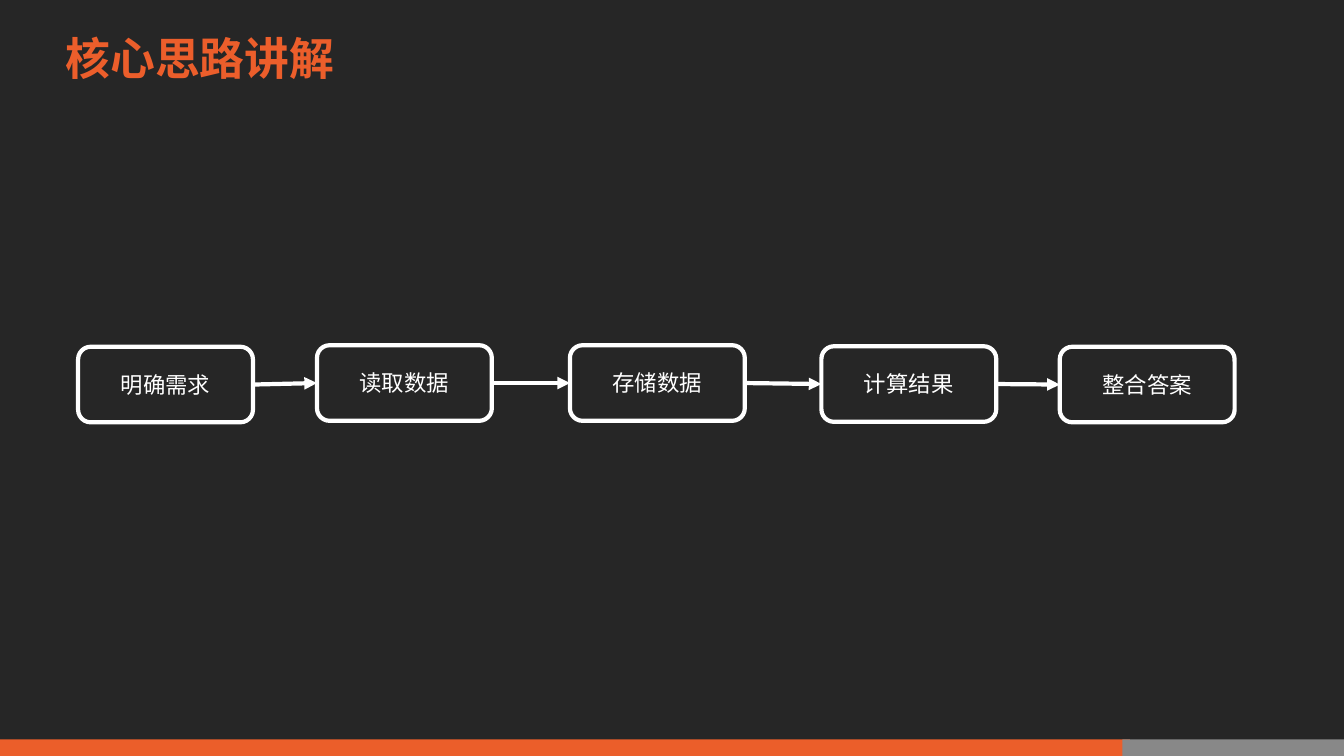
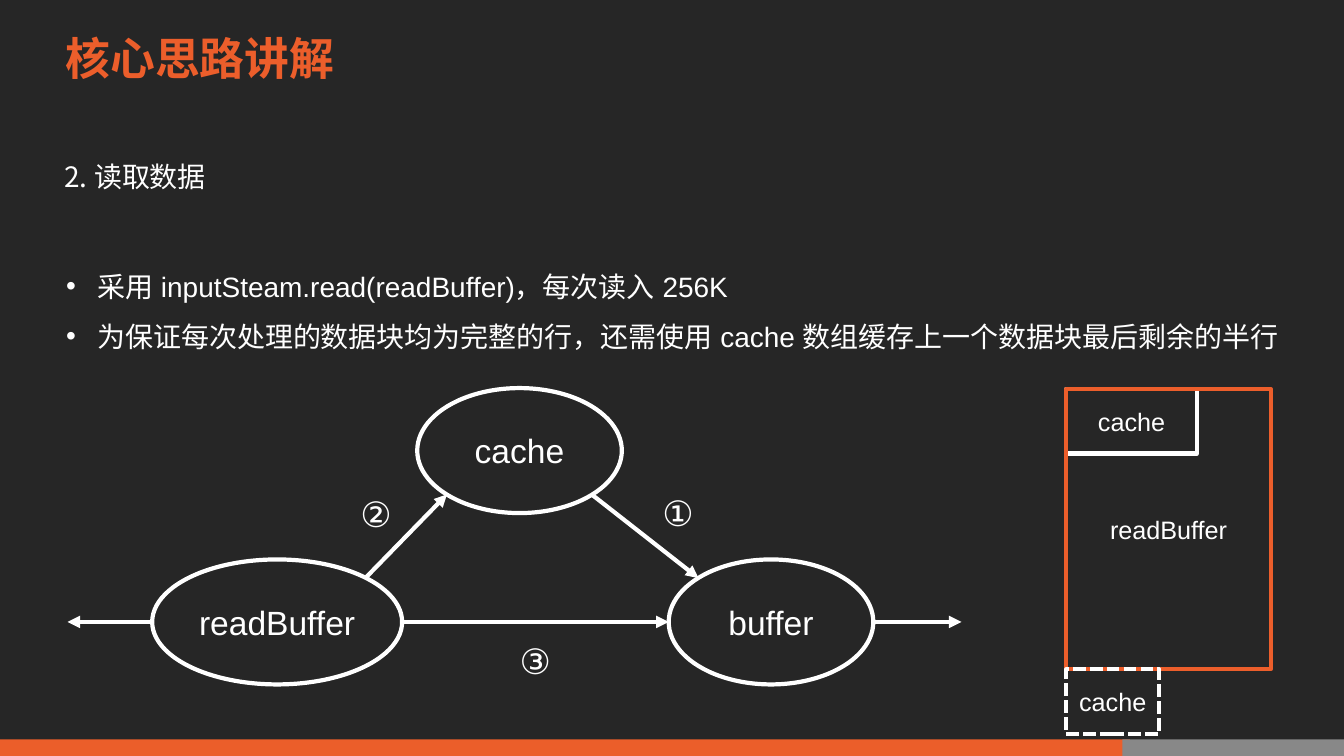
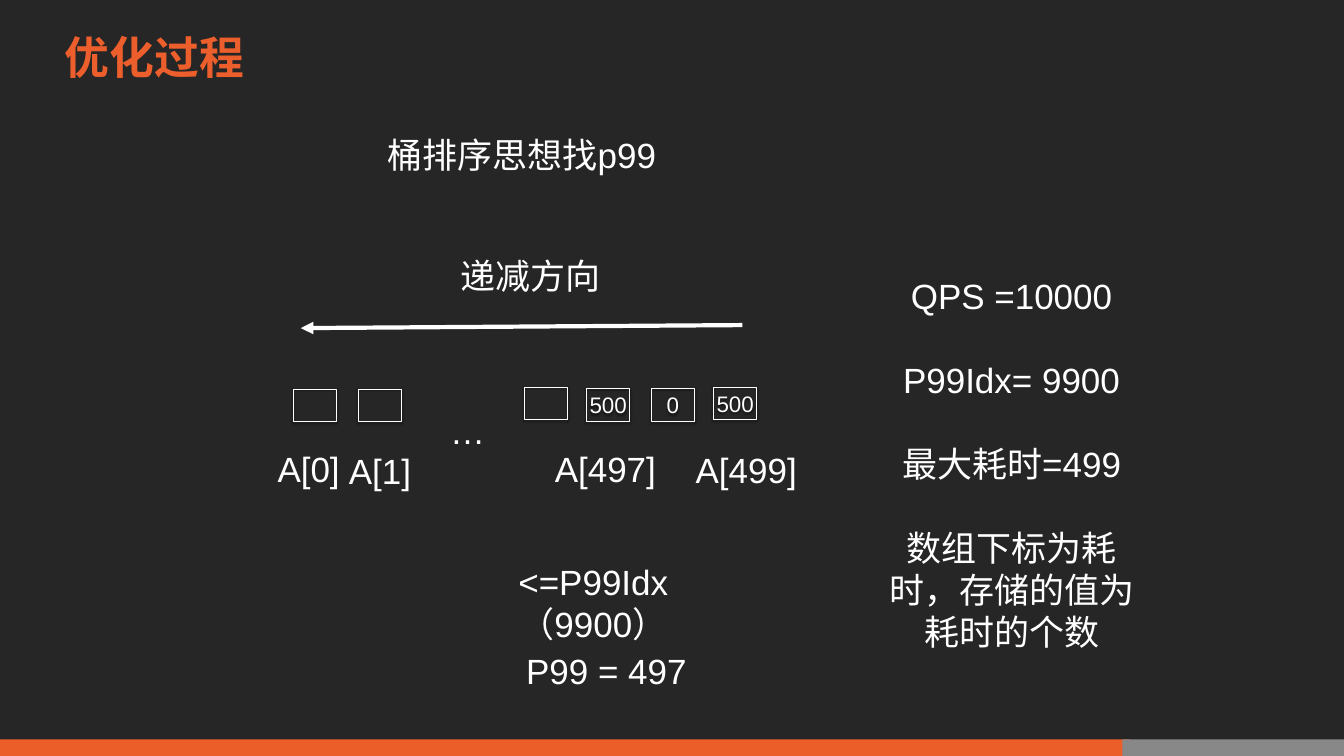
import pptx
import pptx.dml.color
import pptx.enum.dml
import pptx.enum.shapes
import pptx.enum.text
import pptx.oxml
import pptx.oxml.ns
import pptx.util
import lxml.etree

Inches = pptx.util.Inches
Pt = pptx.util.Pt
qn = pptx.oxml.ns.qn
colour = pptx.dml.color.RGBColor.from_string
SHAPE = pptx.enum.shapes.MSO_SHAPE
ALIGN = pptx.enum.text.PP_ALIGN
ANCHOR = pptx.enum.text.MSO_ANCHOR

WHITE = "FFFFFF"
ORANGE = "EC5E2B"
CJK = "Noto Sans CJK SC"
SHADOW = (
    '<a:outerShdw xmlns:a="http://schemas.openxmlformats.org/drawingml/2006/main"'
    ' blurRad="38100" dist="25400" dir="5400000" rotWithShape="0">'
    '<a:srgbClr val="000000"><a:alpha val="50000"/></a:srgbClr></a:outerShdw>'
)


def write(box, lines, size, tint=WHITE, font="Arial", align=ALIGN.CENTER,
          anchor=ANCHOR.MIDDLE, bold=False, wrap=True, inset=0.06):
    frame = box.text_frame
    frame.word_wrap = wrap
    frame.auto_size = pptx.enum.text.MSO_AUTO_SIZE.NONE
    frame.vertical_anchor = anchor
    frame.margin_left = frame.margin_right = Inches(inset)
    frame.margin_top = frame.margin_bottom = Inches(inset)
    for number, line in enumerate(lines):
        para = frame.paragraphs[0] if number == 0 else frame.add_paragraph()
        para.alignment = align
        para.space_before = Pt(0)
        para._p.get_or_add_pPr().set("hangingPunct", "0")
        span = para.add_run()
        span.text = line
        span.font.size = Pt(size)
        span.font.bold = bold
        span.font.name = font
        span.font.color.rgb = colour(tint)
        east = lxml.etree.SubElement(span._r.get_or_add_rPr(), qn("a:ea"))
        east.set("typeface", font)
    return frame.paragraphs


def outline(page, kind, bounds, text="", size=32, tint=WHITE, width=6, wrap=True):
    box = page.shapes.add_shape(kind, *map(Inches, bounds))
    box.shadow.inherit = False
    box.fill.background()
    box.line.color.rgb = colour(tint)
    box.line.width = Pt(width)
    if text:
        write(box, [text], size, wrap=wrap)
    return box


deck = pptx.Presentation()
deck.slide_width = Inches(26.67)
deck.slide_height = Inches(15)
master = deck.slide_master
master.background.fill.solid()
master.background.fill.fore_color.rgb = colour("262626")

pages = []
for layout, heading, top, width in [
    (5, "核心思路讲解", 0.56, 5.49),
    (1, "核心思路讲解", 0.56, 5.49),
    (5, "优化过程", 0.53, 3.69),
]:
    page = deck.slides.add_slide(deck.slide_layouts[layout])
    title = page.shapes.title
    title.left, title.top = Inches(1.22), Inches(top)
    title.width, title.height = Inches(width), Inches(1.18)
    write(title, [heading], 64, ORANGE, CJK, anchor=ANCHOR.TOP, bold=True,
          wrap=False, inset=0.05)
    pages.append(page)
flow_page, read_page, sort_page = pages

for left, width, tint in [(0, 22.42, "EB5E2A"), (22.27, 4.45, "888888")]:
    band = flow_page.shapes.add_shape(
        SHAPE.RECTANGLE, Inches(left), Inches(14.67), Inches(width), Inches(0.33))
    band.shadow.inherit = False
    band.fill.solid()
    band.fill.fore_color.rgb = colour(tint)
    band.line.fill.background()
    master.shapes.element.append(band.element)

steps = []
for left, top, text in [
    (1.55, 6.88, "明确需求"),
    (6.29, 6.85, "读取数据"),
    (11.31, 6.85, "存储数据"),
    (16.3, 6.87, "计算结果"),
    (21.03, 6.88, "整合答案"),
]:
    steps.append(outline(flow_page, SHAPE.ROUNDED_RECTANGLE, (left, top, 3.47, 1.5), text))

outline(read_page, SHAPE.RECTANGLE, (21.16, 7.72, 2.59, 1.28), "cache", 36)
outline(read_page, SHAPE.RECTANGLE, (21.16, 7.72, 4.06, 5.56), "readBuffer", 36, ORANGE)
leftover = outline(read_page, SHAPE.RECTANGLE, (21.16, 13.28, 1.84, 1.28), "cache", 36)
leftover.line.dash_style = pptx.enum.dml.MSO_LINE.SQUARE_DOT
leftover.line._ln.find(qn("a:prstDash")).set("val", "sysDash")

for left, top, width, text in [
    (8.28, 7.7, 4.06, "cache"),
    (3.02, 11.1, 4.96, "readBuffer"),
    (13.27, 11.1, 4.06, "buffer"),
]:
    outline(read_page, SHAPE.OVAL, (left, top, width, 2.48), text, 48)

section = read_page.shapes.add_textbox(Inches(1.22), Inches(2.88), Inches(3.24), Inches(0.92))
for para in write(section, ["2. 读取数据"], 40, font=CJK, align=ALIGN.LEFT, anchor=ANCHOR.TOP):
    para.line_spacing = Pt(64)

body = read_page.placeholders[1]
body.left, body.top = Inches(1.25), Inches(4.94)
body.width, body.height = Inches(24.72), Inches(2.13)
points = [
    "采用 inputSteam.read(readBuffer)，每次读入 256K",
    "为保证每次处理的数据块均为完整的行，还需使用 cache 数组缓存上一个数据块最后剩余的半行",
]
for para in write(body, points, 40, align=ALIGN.LEFT):
    para.line_spacing = 1.5
    settings = para._p.get_or_add_pPr()
    settings.set("marL", str(Inches(0.62)))
    settings.set("indent", str(-Inches(0.62)))
    lxml.etree.SubElement(settings, qn("a:buChar")).set("char", "•")

for left, top, text in [
    (5.82, 7.72, ""),
    (7.11, 7.72, ""),
    (10.4, 7.68, ""),
    (11.64, 7.71, "500"),
    (12.92, 7.71, "0"),
    (14.16, 7.68, "500"),
]:
    bucket = outline(sort_page, SHAPE.RECTANGLE, (left, top, 0.86, 0.65), text,
                     width=1.5, wrap=False)
    effects = bucket.element.spPr.find(qn("a:effectLst"))
    effects.append(pptx.oxml.parse_xml(SHADOW))

for page, left, top, width, height, lines in [
    (read_page, 12.84, 9.69, 1.23, 0.95, ["①"]),
    (read_page, 6.85, 9.71, 1.23, 0.95, ["②"]),
    (read_page, 10.01, 12.63, 1.23, 0.95, ["③"]),
    (sort_page, 7.54, 2.6, 5.63, 0.95, ["桶排序思想找p99"]),
    (sort_page, 7.72, 4.99, 5.63, 0.95, ["递减方向"]),
    (sort_page, 7.77, 8.06, 3.02, 0.95, ["…"]),
    (sort_page, 4.64, 8.83, 2.97, 0.95, ["A[0]"]),
    (sort_page, 6.37, 8.87, 2.34, 0.95, ["A[1]"]),
    (sort_page, 10.83, 8.83, 2.37, 0.95, ["A[497]"]),
    (sort_page, 13.69, 8.85, 2.24, 0.95, ["A[499]"]),
    (sort_page, 8.96, 11.05, 5.63, 1.8, ["<=P99Idx（9900）"]),
    (sort_page, 9.22, 12.83, 5.63, 0.95, ["P99 = 497"]),
    (sort_page, 17.26, 5.35, 5.63, 7.69, [
        "QPS =10000", "P99Idx= 9900", "最大耗时=499", "数组下标为耗时，存储的值为耗时的个数"]),
]:
    label = page.shapes.add_textbox(*map(Inches, (left, top, width, height)))
    paragraphs = write(label, lines, 50)
    for para in paragraphs:
        para.line_spacing = Pt(60)
    for para in paragraphs[1:]:
        para.space_before = Pt(60)

arrows = []
for page, *ends in [
    (read_page, 17.33, 12.34, 19.08, 12.34),
    (read_page, 7.25, 11.47, 8.87, 9.81),
    (read_page, 7.98, 12.34, 13.27, 12.34),
    (read_page, 11.74, 9.81, 13.86, 11.47),
    (read_page, 3.02, 12.34, 1.34, 12.34),
    (sort_page, 14.73, 6.45, 5.97, 6.51),
]:
    arrows.append(page.shapes.add_connector(
        pptx.enum.shapes.MSO_CONNECTOR.STRAIGHT, *map(Inches, ends)))
for before, after in zip(steps, steps[1:]):
    arrow = flow_page.shapes.add_connector(
        pptx.enum.shapes.MSO_CONNECTOR.STRAIGHT, 0, 0, 0, 0)
    arrow.begin_connect(before, 3)
    arrow.end_connect(after, 1)
    arrows.append(arrow)
for arrow in arrows:
    arrow.line.color.rgb = colour(WHITE)
    arrow.line.width = Pt(6)
    lxml.etree.SubElement(arrow.line._ln, qn("a:tailEnd")).set("type", "triangle")
    lxml.etree.SubElement(arrow.element.spPr, qn("a:effectLst"))

deck.save("out.pptx")
